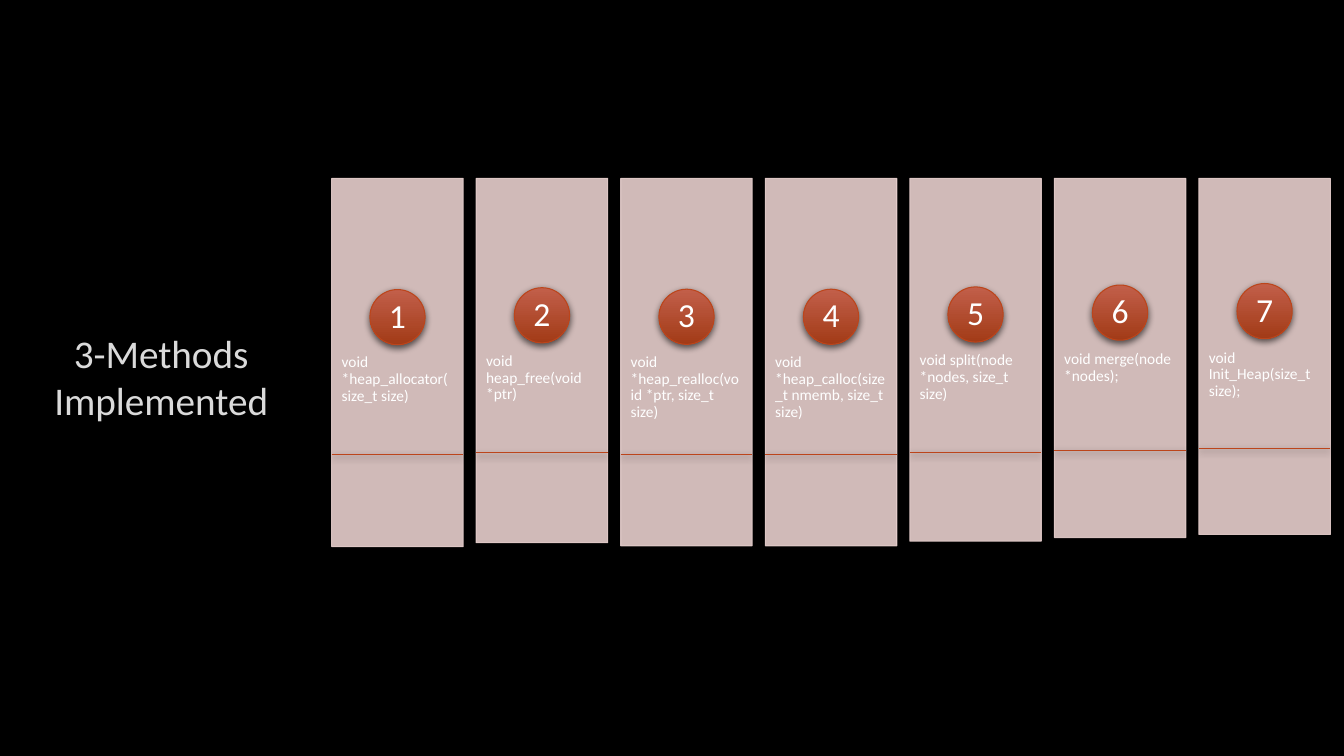
import pptx
import pptx.util
import pptx.dml.color
import pptx.enum.shapes
import pptx.enum.text
import pptx.oxml.ns
import lxml.etree

RGBColor = pptx.dml.color.RGBColor
Inches = pptx.util.Inches
Pt = pptx.util.Pt
ALIGN = pptx.enum.text.PP_ALIGN
ANCHOR = pptx.enum.text.MSO_ANCHOR
SHAPE = pptx.enum.shapes.MSO_SHAPE

BLACK = RGBColor(0x00, 0x00, 0x00)
WHITE = RGBColor(0xFF, 0xFF, 0xFF)
TITLE_GREY = RGBColor(0xDA, 0xDA, 0xDA)
CARD_PINK = RGBColor(0xE7, 0xCF, 0xCD)
RUST = RGBColor(0xBC, 0x45, 0x1B)
RUST_LIGHT = RGBColor(0xC2, 0x5F, 0x4A)
RUST_DARK = RGBColor(0xA2, 0x3B, 0x17)

# Each method with the height of its card in rows
METHODS = [
    ("void *heap_allocator(size_t size)", 4.87),
    ("void heap_free(void *ptr)", 4.82),
    ("void *heap_realloc(void *ptr, size_t size)", 4.86),
    ("void *heap_calloc(size_t nmemb, size_t size)", 4.86),
    ("void split(node *nodes, size_t size)", 4.8),
    ("void merge(node *nodes);", 4.75),
    ("void Init_Heap(size_t size);", 4.71),
]
CARD_TOP = 2.36  # rows
CARD_WIDTH = 0.91  # columns
BADGE_ROWS = 0.73


def add_xml(parent, tag, **attributes):
    names = {name: str(value) for name, value in attributes.items()}
    return lxml.etree.SubElement(parent, pptx.oxml.ns.qn(tag), names)


def write_text(frame, text, size=11, color=WHITE, align=ALIGN.LEFT,
               anchor=ANCHOR.TOP, insets=(0.1, 0.05), spacing=1.0):
    frame.word_wrap = True
    frame.auto_size = pptx.enum.text.MSO_AUTO_SIZE.NONE
    frame.vertical_anchor = anchor
    frame.margin_left = frame.margin_right = Inches(insets[0])
    frame.margin_top = frame.margin_bottom = Inches(insets[1])
    para = frame.paragraphs[0]
    para.alignment = align
    para.line_spacing = spacing
    span = para.add_run()
    span.text = text
    span.font.name = "Calibri"
    span.font.size = Pt(size)
    span.font.color.rgb = color


class MethodsPage:
    """Places elements on a grid: columns start at the first card, rows at the top."""

    left = 3.29
    column = 8.6 / 6
    row = 0.75

    def __init__(self, deck):
        self.page = deck.slides.add_slide(deck.slide_layouts[6])
        self.page.background.fill.solid()
        self.page.background.fill.fore_color.rgb = BLACK

    def area(self, column, row, columns, rows):
        return (Inches(self.left + column * self.column), Inches(row * self.row),
                Inches(columns * self.column), Inches(rows * self.row))

    def text(self, area, text, **style):
        box = self.page.shapes.add_textbox(*self.area(*area))
        write_text(box.text_frame, text, **style)

    def card(self, area):
        box = self.page.shapes.add_shape(SHAPE.RECTANGLE, *self.area(*area))
        box.shadow.inherit = False
        box.fill.solid()
        box.fill.fore_color.rgb = CARD_PINK
        box.line.color.rgb = CARD_PINK
        box.line.width = Pt(0.75)
        for color in box.element.spPr.iter(pptx.oxml.ns.qn("a:srgbClr")):
            add_xml(color, "a:alpha", val=90000)

    def badge(self, column, row, number):
        """Draws a numbered disc around its centre."""
        columns = BADGE_ROWS * self.row / self.column
        area = self.area(column - columns / 2, row - BADGE_ROWS / 2, columns, BADGE_ROWS)
        disc = self.page.shapes.add_shape(SHAPE.OVAL, *area)
        disc.fill.gradient()
        disc.fill.gradient_angle = 270
        for stop, color in zip(disc.fill.gradient_stops, (RUST_LIGHT, RUST_DARK)):
            stop.color.rgb = color
        self.outline(disc)
        write_text(disc.text_frame, str(number), size=24, align=ALIGN.CENTER,
                   anchor=ANCHOR.MIDDLE, insets=(0, 0), spacing=0.9)

    def rule(self, column, row, columns):
        x, y, width, _ = self.area(column, row, columns, 0)
        line = self.page.shapes.add_connector(
            pptx.enum.shapes.MSO_CONNECTOR.STRAIGHT, x, y, x + width, y)
        self.outline(line)

    def outline(self, shape):
        """Gives a shape the rust line and the soft shadow below it."""
        shape.line.color.rgb = RUST
        shape.line.width = Pt(0.75)
        effects = add_xml(shape.element.spPr, "a:effectLst")
        shadow = add_xml(effects, "a:outerShdw", blurRad=Pt(5), dist=Pt(2),
                         dir=5400000, algn="ctr", rotWithShape=0)
        color = add_xml(shadow, "a:srgbClr", val=BLACK)
        add_xml(color, "a:alpha", val=60000)


def main():
    deck = pptx.Presentation()
    deck.slide_width = Inches(13.33)
    deck.slide_height = Inches(7.5)
    page = MethodsPage(deck)

    # Title
    page.text((-2.35, 0.89, 2.34, 8.17), "3-Methods Implemented", size=28,
              color=TITLE_GREY, align=ALIGN.CENTER, anchor=ANCHOR.MIDDLE)

    # Method cards
    for column, (method, rows) in enumerate(METHODS):
        middle = CARD_TOP + rows / 2
        page.card((column, CARD_TOP, CARD_WIDTH, rows))
        page.text((column, CARD_TOP + 0.38 * rows, CARD_WIDTH, 0.6 * rows), method,
                  insets=(0.1, 0.36), spacing=0.9)
        page.badge(column + CARD_WIDTH / 2, middle - 0.6, column + 1)
        page.rule(column, middle + 1.22, CARD_WIDTH)

    deck.save("out.pptx")


if __name__ == "__main__":
    main()
